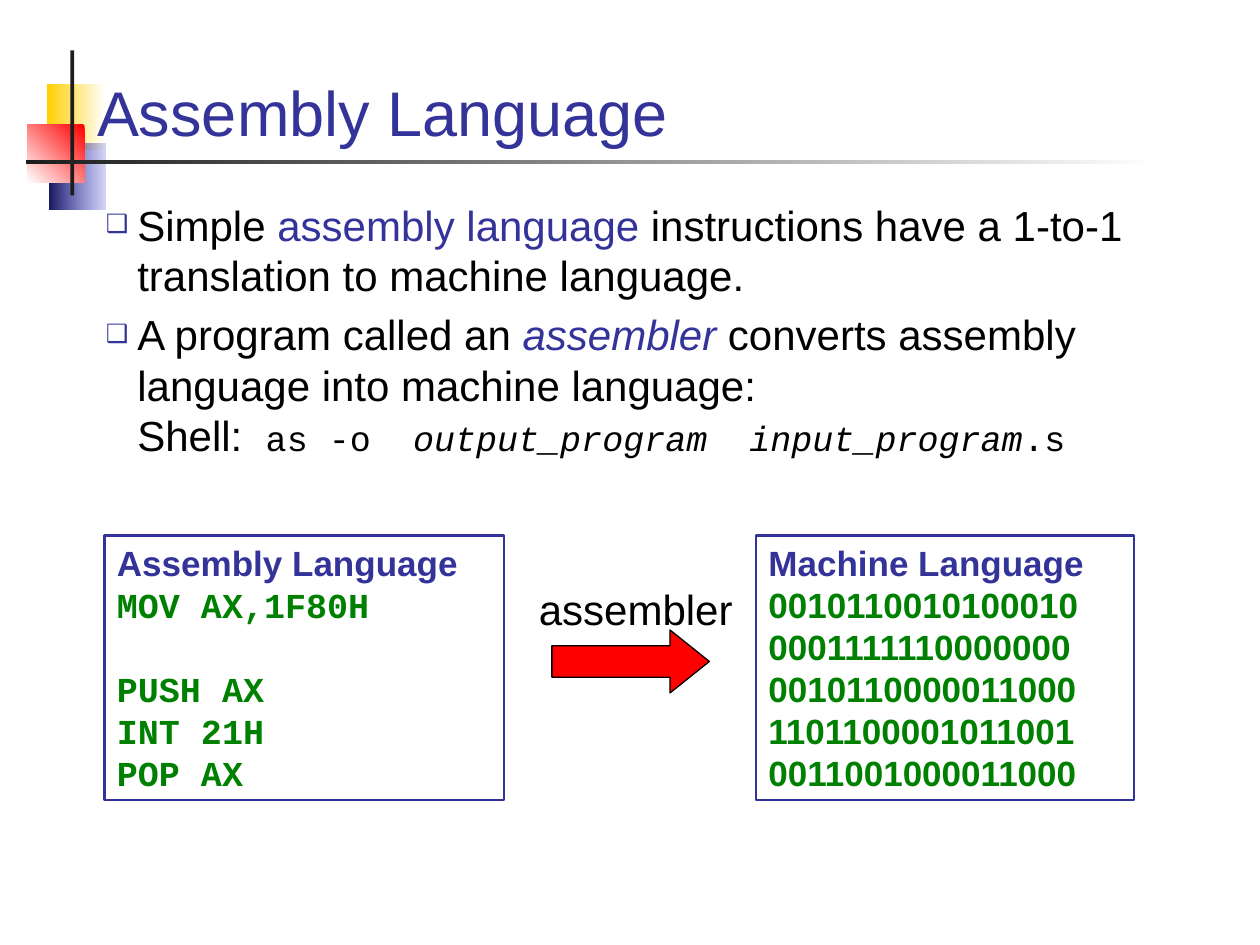
from dataclasses import dataclass

from lxml import etree
from pptx import Presentation
from pptx.dml.color import RGBColor
from pptx.enum.shapes import MSO_SHAPE
from pptx.enum.text import MSO_ANCHOR, MSO_AUTO_SIZE, PP_ALIGN
from pptx.oxml.ns import qn
from pptx.util import Inches, Pt

RECTANGLE, RIGHT_ARROW = MSO_SHAPE.RECTANGLE, MSO_SHAPE.RIGHT_ARROW
TOP, BOTTOM = MSO_ANCHOR.TOP, MSO_ANCHOR.BOTTOM
LEFT, CENTER = PP_ALIGN.LEFT, PP_ALIGN.CENTER
NO_FIT, GROW = MSO_AUTO_SIZE.NONE, MSO_AUTO_SIZE.SHAPE_TO_FIT_TEXT


@dataclass(frozen=True)
class Theme:
    accent: str = "333399"
    text: str = "000000"
    code: str = "008000"
    red: str = "FF0000"
    yellow: str = "FFCF01"
    blue: str = "3333CC"
    navy: str = "17175E"
    dark: str = "1C1C1C"
    white: str = "FFFFFF"
    sans: str = "Arial"
    mono: str = "Courier New"
    title_size: int = 36
    body_size: int = 24
    small_size: int = 20
    line_pitch: float = 1.2  # line height as a multiple of the type size


class SlideBuilder:
    def __init__(self, slide, theme):
        self.slide = slide
        self.theme = theme

    def place(self, shape, area):
        shape.left, shape.top, shape.width, shape.height = map(Inches, area)

    def add_run(self, paragraph, text, size, color, font=None, bold=False, italic=False):
        run = paragraph.add_run()
        run.text = text
        run.font.name = font or self.theme.sans
        run.font.size = Pt(size)
        run.font.bold = bold
        run.font.italic = italic
        run.font.color.rgb = RGBColor.from_string(color)

    def format_paragraph(self, paragraph, size, before=0, alignment=LEFT):
        paragraph.alignment = alignment
        paragraph.line_spacing = Pt(size * self.theme.line_pitch)
        paragraph.space_before = Pt(before)

    def shape(self, kind, area, fill=None, line=None, line_width=0.75):
        shape = self.slide.shapes.add_shape(kind, *map(Inches, area))
        shape.shadow.inherit = False
        if fill:
            shape.fill.solid()
            shape.fill.fore_color.rgb = RGBColor.from_string(fill)
        else:
            shape.fill.background()
        if line:
            shape.line.color.rgb = RGBColor.from_string(line)
            shape.line.width = Pt(line_width)
        else:
            shape.line.fill.background()
        return shape

    def gradient(self, area, start, end, angle=180, start_alpha=None):
        """Rectangle fading from start to end; the angle is counterclockwise."""
        shape = self.shape(RECTANGLE, area)
        shape.fill.gradient()
        shape.fill.gradient_angle = angle
        for stop, color in zip(shape.fill.gradient_stops, (start, end)):
            stop.color.rgb = RGBColor.from_string(color)
        if start_alpha:
            first_color = shape._element.spPr.find(".//" + qn("a:srgbClr"))
            etree.SubElement(first_color, qn("a:alpha"), val=str(start_alpha * 1000))

    def placeholder(self, index, area, anchor):
        """Move a template placeholder in front of the decoration."""
        shape = self.slide.placeholders[index]
        self.place(shape, area)
        self.slide.shapes._spTree.append(shape._element)
        frame = shape.text_frame
        frame.word_wrap = True
        frame.auto_size = NO_FIT
        frame.vertical_anchor = anchor
        return frame

    def title(self, text, area):
        paragraph = self.placeholder(0, area, BOTTOM).paragraphs[0]
        paragraph.alignment = LEFT
        self.add_run(paragraph, text, self.theme.title_size, self.theme.accent)

    def add_bullet(self, paragraph):
        properties = paragraph._p.get_or_add_pPr()
        properties.set("marL", str(Inches(0.25)))
        properties.set("indent", str(-Inches(0.25)))
        color = etree.SubElement(properties, qn("a:buClr"))
        etree.SubElement(color, qn("a:srgbClr"), val=self.theme.accent)
        etree.SubElement(properties, qn("a:buSzPct"), val="60000")
        etree.SubElement(properties, qn("a:buChar"), char="❑")

    def bullets(self, items, area):
        """Each item is a list of lines, each line a list of (text, style) runs."""
        frame = self.placeholder(1, area, TOP)
        for number, lines in enumerate(items):
            paragraph = frame.add_paragraph() if number else frame.paragraphs[0]
            self.add_bullet(paragraph)
            self.format_paragraph(paragraph, self.theme.body_size, 5 if number else 0)
            for line_number, runs in enumerate(lines):
                if line_number:
                    paragraph.add_line_break()
                for text, style in runs:
                    look = {"size": self.theme.body_size, "color": self.theme.text, **style}
                    self.add_run(paragraph, text, **look)

    def code_box(self, heading, blocks, area, font):
        """Framed heading and code; blocks are set one line apart."""
        size = self.theme.small_size
        frame = self.shape(RECTANGLE, area, line=self.theme.accent, line_width=1.5).text_frame
        frame.word_wrap = True
        frame.auto_size = GROW
        frame.vertical_anchor = TOP
        self.format_paragraph(frame.paragraphs[0], size)
        self.add_run(frame.paragraphs[0], heading, size, self.theme.accent, bold=True)
        for block_number, block in enumerate(blocks):
            for line_number, line in enumerate(block):
                starts_gap = block_number > 0 and line_number == 0
                paragraph = frame.add_paragraph()
                self.format_paragraph(paragraph, size, size * self.theme.line_pitch if starts_gap else 0)
                self.add_run(paragraph, line, size, self.theme.code, font, bold=True)

    def label(self, text, area):
        frame = self.slide.shapes.add_textbox(*map(Inches, area)).text_frame
        frame.word_wrap = True
        frame.auto_size = GROW
        self.format_paragraph(frame.paragraphs[0], self.theme.body_size, alignment=CENTER)
        self.add_run(frame.paragraphs[0], text, self.theme.body_size, self.theme.text)


def main():
    presentation = Presentation()
    presentation.slide_width, presentation.slide_height = Inches(10), Inches(7.5)
    theme = Theme()
    slide = presentation.slides.add_slide(presentation.slide_layouts[1])
    builder = SlideBuilder(slide, theme)

    builder.gradient((0.37, 0.67, 0.47, 0.52), theme.white, theme.yellow)
    builder.gradient((0.39, 1.14, 0.45, 0.52), theme.blue, theme.navy, start_alpha=20)
    builder.gradient((0.22, 0.99, 0.45, 0.46), theme.red, theme.white, angle=225)
    builder.shape(RECTANGLE, (0.56, 0.4, 0.03, 1.15), theme.dark)
    builder.gradient((0.21, 1.27, 8.99, 0.03), theme.white, theme.dark)

    builder.title("Assembly Language", (0.67, 0.28, 8.66, 0.95))
    term = {"color": theme.accent}
    command = {"size": theme.small_size, "font": theme.mono}
    builder.bullets([
        [[("Simple ", {}), ("assembly language", term),
          (" instructions have a 1-to-1 translation to machine language.", {})]],
        [[("A program called an ", {}), ("assembler", {**term, "italic": True}),
          (" converts assembly language into machine language:", {})],
         [("Shell:  ", {}), ("as -o  ", command),
          ("output_program  input_program", {**command, "italic": True}), (".s", command)]],
    ], (0.74, 1.53, 8.66, 2.52))

    machine_code = ["0010110010100010", "0001111110000000", "0010110000011000",
                    "1101100001011001", "0011001000011000"]
    builder.code_box("Machine Language", [machine_code], (6, 4.25, 3, 2.1), theme.sans)
    builder.code_box("Assembly Language", [["MOV AX,1F80H"], ["PUSH AX", "INT 21H", "POP AX"]],
                     (0.83, 4.25, 3.17, 2.1), theme.mono)
    arrow = builder.shape(RIGHT_ARROW, (4.38, 5, 1.25, 0.5), theme.red, theme.text)
    arrow.adjustments[1] = 0.625
    builder.label("assembler", (3.92, 4.58, 2.25, 0.5))

    presentation.save("out.pptx")


if __name__ == "__main__":
    main()
